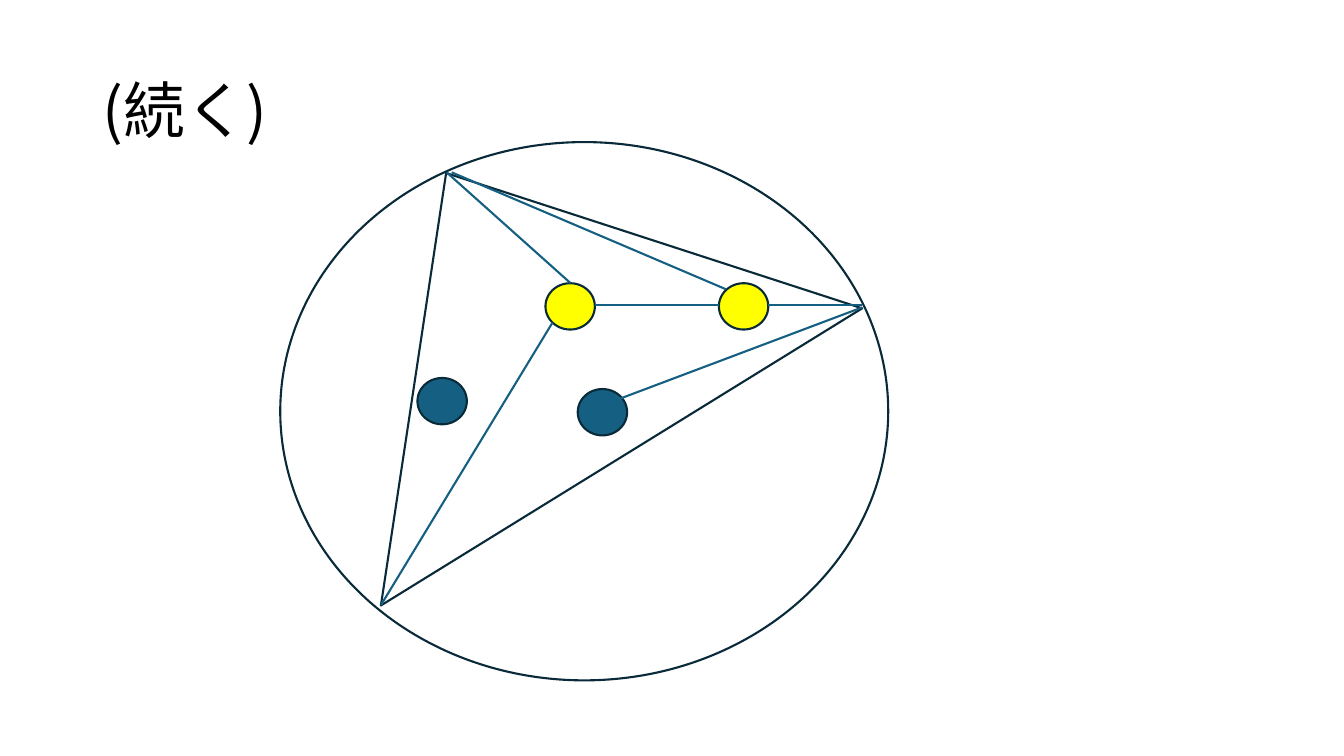
"""Build a slide with a triangle in a circle, joined to four coloured dots."""
from lxml import etree
from pptx import Presentation
from pptx.dml.color import RGBColor
from pptx.enum import shapes, text
from pptx.oxml import ns
from pptx.util import Inches, Pt

WIDTH, HEIGHT = 13.33, 7.5
FONT = "Noto Sans CJK JP"
NAVY, TEAL, YELLOW, BLACK = "092A39", "156082", "FFFF00", "000000"
STROKE = 1.5

TITLE = "(続く)"
TITLE_BOX = (0.92, 0.4, 11.5, 1.45)
DOT_SIZE = (0.49, 0.46)
DOTS = [
    (5.41, 2.81, YELLOW),
    (4.14, 3.75, TEAL),
    (5.73, 3.86, TEAL),
    (7.13, 2.81, YELLOW),
]
TRIANGLE = (2.49, 1.47, 5.61, 3.31)
TRIANGLE_TURN = 328.3
CIRCLE = (2.78, 1.41, 6.03, 5.34)
LINKS = [
    ((5.66, 2.81), (4.43, 1.71)),
    ((5.48, 3.2), (3.78, 6)),
    ((7.13, 3.03), (5.9, 3.03)),
    ((8.55, 3.03), (7.62, 3.03)),
    ((7.2, 2.87), (4.48, 1.71)),
    ((8.55, 3.05), (6.11, 3.97)),
]


def paint(target, color):
    target.solid()
    target.fore_color.rgb = RGBColor.from_string(color)


def draw_line(line, color):
    paint(line.fill, color)
    line.width = Pt(STROKE)


def add_title(slide):
    frame = slide.shapes.add_textbox(*map(Inches, TITLE_BOX)).text_frame
    frame.word_wrap = True
    frame.vertical_anchor = text.MSO_ANCHOR.MIDDLE
    paragraph = frame.paragraphs[0]
    paragraph.line_spacing = 0.9
    title = paragraph.add_run()
    title.text = TITLE
    title.font.size = Pt(44)
    title.font.name = FONT
    paint(title.font.fill, BLACK)
    east_asian = etree.SubElement(title.font._element, ns.qn("a:ea"))
    east_asian.set("typeface", FONT)


def add_outline(slide, kind, box, color=None, turn=0):
    outline = slide.shapes.add_shape(kind, *map(Inches, box))
    outline.shadow.inherit = False
    outline.rotation = turn
    if color:
        paint(outline.fill, color)
    else:
        outline.fill.background()
    draw_line(outline.line, NAVY)


def add_link(slide, start, end):
    link = slide.shapes.add_connector(
        shapes.MSO_CONNECTOR.STRAIGHT, *map(Inches, start + end))
    draw_line(link.line, TEAL)
    etree.SubElement(link._element.spPr, ns.qn("a:effectLst"))


def main():
    deck = Presentation()
    deck.slide_width, deck.slide_height = Inches(WIDTH), Inches(HEIGHT)
    slide = deck.slides.add_slide(deck.slide_layouts[6])
    add_title(slide)
    oval = shapes.MSO_SHAPE.OVAL
    for left, top, color in DOTS:
        add_outline(slide, oval, (left, top) + DOT_SIZE, color)
    add_outline(slide, shapes.MSO_SHAPE.ISOSCELES_TRIANGLE, TRIANGLE,
                turn=TRIANGLE_TURN)
    add_outline(slide, oval, CIRCLE)
    for start, end in LINKS:
        add_link(slide, start, end)
    deck.save("out.pptx")


if __name__ == "__main__":
    main()
